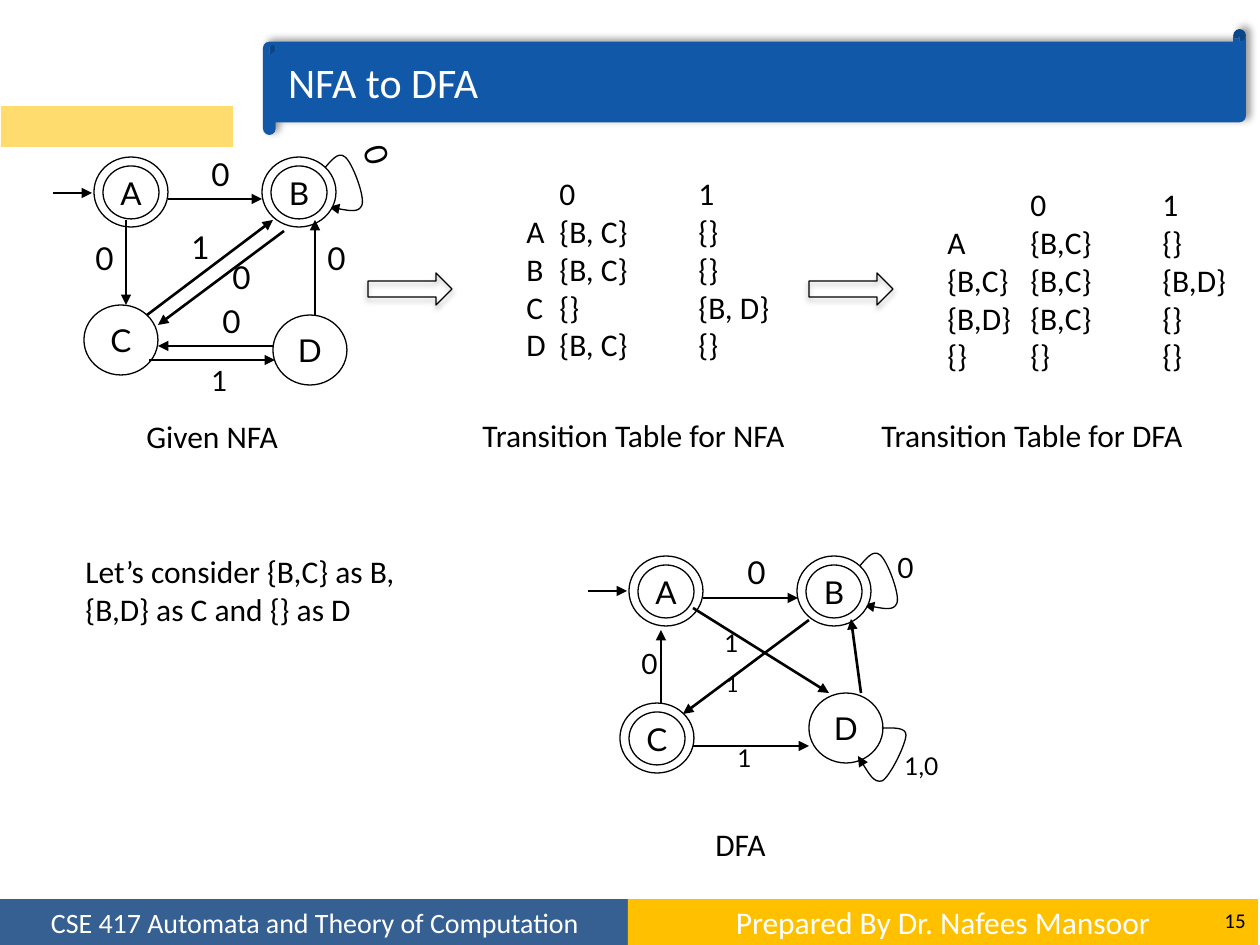
import pptx
import pptx.dml.color
import pptx.enum.shapes
import pptx.enum.text
import pptx.oxml
import pptx.oxml.ns
import pptx.util


class Theme:
    body_font = "Calibri"
    diagram_font = "Lato"
    black = "000000"
    white = "FFFFFF"
    title_blue = "1158A9"
    footer_blue = "376092"
    footer_gold = "FFC000"
    accent_yellow = "FFDC6D"
    title_size = 24
    body_size = 18
    footer_size = 16
    number_size = 12
    thin = pptx.util.Pt(0.75)
    thick = pptx.util.Pt(1.5)


PIXEL = 914400 / 126
PRESET = pptx.enum.shapes.MSO_SHAPE
ALIGN = pptx.enum.text.PP_ALIGN
ANCHOR = pptx.enum.text.MSO_ANCHOR
COLOR = pptx.dml.color.RGBColor.from_string
NAMESPACE = pptx.oxml.ns.nsdecls("a")
TAIL = f'<a:tailEnd {NAMESPACE} type="triangle"/>'

presentation = pptx.Presentation()
presentation.slide_width = pptx.util.Inches(10)
presentation.slide_height = pptx.util.Inches(7.5)
slide = presentation.slides.add_slide(presentation.slide_layouts[6])
shapes = slide.shapes


def add_shape(preset, box, fill=None, line=None):
    shape = shapes.add_shape(preset, *[round(value * PIXEL) for value in box])
    shape.shadow.inherit = False
    if fill:
        shape.fill.solid()
        shape.fill.fore_color.rgb = COLOR(fill)
    else:
        shape.fill.background()
    if line:
        shape.line.color.rgb = COLOR(line)
        shape.line.width = Theme.thin
    else:
        shape.line.fill.background()
    return shape


def write(target, text, size, font=Theme.body_font, color=Theme.black,
          align=ALIGN.LEFT, anchor=ANCHOR.TOP, wrap=False):
    if isinstance(target, tuple):
        target = shapes.add_textbox(*[round(value * PIXEL) for value in target])
    frame = target.text_frame
    frame.text = text
    frame.word_wrap = wrap
    frame.vertical_anchor = anchor
    for paragraph in frame.paragraphs:
        paragraph.alignment = align
        for run in paragraph.runs:
            run.font.size = pptx.util.Pt(size)
            run.font.name = font
            run.font.color.rgb = COLOR(color)
    return target


footers = [
    (0, Theme.footer_blue, "CSE 417 Automata and Theory of Computation", Theme.footer_size),
    (628, Theme.footer_gold, "Prepared By Dr. Nafees Mansoor", Theme.body_size),
]
for left, fill, text, size in footers:
    footer = add_shape(PRESET.RECTANGLE, (left, 899, 630, 46), fill)
    write(footer, text, size, color=Theme.white, align=ALIGN.CENTER,
          anchor=ANCHOR.MIDDLE, wrap=True)
write((1176, 895, 82, 50), "15", Theme.number_size, align=ALIGN.RIGHT,
      anchor=ANCHOR.MIDDLE, wrap=True)
add_shape(PRESET.RECTANGLE, (1, 106, 232, 41), Theme.accent_yellow)

title = add_shape(PRESET.HORIZONTAL_SCROLL, (263, 29, 983, 106), Theme.title_blue)
title.adjustments[0] = 0.12
write(title, "NFA to DFA", Theme.title_size, color=Theme.white,
      anchor=ANCHOR.MIDDLE, wrap=True)

step_arrows = [
    add_shape(PRESET.RIGHT_ARROW, (left, 273, 84, 32), line=Theme.black)
    for left in (368, 809)
]
shadows = [(title, 4, 3, 315, 40)] + [(arrow, 3.1, 1.8, 90, 35) for arrow in step_arrows]
for shape, blur, distance, angle, opacity in shadows:
    effects = shape._element.spPr.find(pptx.oxml.ns.qn("a:effectLst"))
    effects.append(pptx.oxml.parse_xml(
        f'<a:outerShdw {NAMESPACE} blurRad="{pptx.util.Pt(blur)}" '
        f'dist="{pptx.util.Pt(distance)}" dir="{angle * 60000}" rotWithShape="0">'
        f'<a:srgbClr val="{Theme.black}"><a:alpha val="{opacity * 1000}"/></a:srgbClr>'
        '</a:outerShdw>'))

single_states = [("C", 84, 305), ("D", 273, 315), ("D", 809, 693)]
for name, left, top in single_states:
    state = add_shape(PRESET.OVAL, (left, top, 74, 70), Theme.white, Theme.black)
    write(state, name, Theme.body_size, Theme.diagram_font,
          align=ALIGN.CENTER, anchor=ANCHOR.MIDDLE)

b_loop = [(0, 0), (8, -9), (15, -19), (22, -13), (29, -8),
          (42, 26), (39, 35), (36, 43), (21, 40), (6, 37)]
d_loop = [(0, 0), (11, 0), (24, -1), (24, 7), (24, 16),
          (8, 49), (0, 53), (-8, 55), (-16, 41), (-24, 28)]
for left, top, points in [(323, 170, b_loop), (858, 568, b_loop), (882, 728, d_loop)]:
    builder = shapes.build_freeform(left, top, scale=PIXEL)
    builder.add_line_segments([(left + x, top + y) for x, y in points[1:]], close=False)
    loop = builder.convert_to_shape()
    loop.shadow.inherit = False
    loop.fill.background()
    loop.line.color.rgb = COLOR(Theme.black)
    loop.line.width = Theme.thin
    loop.line._get_or_add_ln().append(pptx.oxml.parse_xml(TAIL))
    segments = list(loop._element.iter(pptx.oxml.ns.qn("a:lnTo")))
    outline = segments[0].getparent()
    for start in range(0, len(segments), 3):
        curve = pptx.oxml.parse_xml(f"<a:cubicBezTo {NAMESPACE}/>")
        for segment in segments[start:start + 3]:
            curve.append(segment[0])
            outline.remove(segment)
        outline.append(curve)

double_states = [("A", 94, 157), ("B", 262, 157),
                 ("A", 629, 556), ("B", 797, 556), ("C", 620, 703)]
for name, left, top in double_states:
    add_shape(PRESET.OVAL, (left, top, 74, 70), Theme.white, Theme.black)
    state = add_shape(PRESET.OVAL, (left + 9, top + 9, 56, 53), Theme.white, Theme.black)
    write(state, name, Theme.body_size, Theme.diagram_font,
          align=ALIGN.CENTER, anchor=ANCHOR.MIDDLE)

transitions = [
    (53, 193, 92, 193), (168, 199, 262, 199), (147, 315, 273, 220),
    (284, 231, 158, 325), (315, 315, 315, 220), (273, 346, 158, 346),
    (149, 360, 275, 360), (126, 220, 126, 305),
    (588, 591, 627, 591), (703, 598, 798, 598), (693, 608, 829, 693),
    (809, 620, 683, 714), (861, 693, 851, 619), (693, 746, 809, 746),
    (661, 703, 661, 630),
]
for points in transitions:
    connector = shapes.add_connector(pptx.enum.shapes.MSO_CONNECTOR.STRAIGHT,
                                     *[round(value * PIXEL) for value in points])
    connector.line.color.rgb = COLOR(Theme.black)
    connector.line.width = Theme.thick
    connector.line._get_or_add_ln().append(pptx.oxml.parse_xml(TAIL))
    connector._element.spPr.append(pptx.oxml.parse_xml(f"<a:effectLst {NAMESPACE}/>"))

label_boxes = {18: (43, 50), 16: (40, 47), 14: (39, 43), 12: (37, 38)}
labels = [
    ("0", 18, 199, 149), ("0", 18, 83, 233), ("1", 18, 179, 222), ("0", 18, 220, 252),
    ("0", 18, 315, 233), ("0", 18, 210, 296), ("1", 16, 199, 357),
    ("0", 18, 735, 547), ("0", 16, 629, 640), ("1", 14, 712, 622), ("1", 12, 714, 665),
    ("0", 16, 885, 544), ("1", 14, 725, 737),
]
for text, size, left, top in labels:
    write((left, top, *label_boxes[size]), text, size, Theme.diagram_font)
write((892, 745, 84, 43), "1,0", 14, Theme.diagram_font, wrap=True)
loop_label = write((343, 147, 79, 50), "0", 18, Theme.diagram_font, wrap=True)
loop_label.rotation = 73.5

captions = [
    ("Given NFA", 134, 411, 160), ("Transition Table for NFA", 470, 410, 338),
    ("Transition Table for DFA", 869, 410, 338), ("DFA", 703, 819, 78),
]
for text, left, top, width in captions:
    write((left, top, width, 50), text, Theme.body_size)
write((73, 546, 336, 89), "Let’s consider {B,C} as B, {B,D} as C and {} as D",
      Theme.body_size, wrap=True)

transition_tables = [
    ((514, 168, 271, 204), (33, 172), [
        ("", "0", "1"), ("A", "{B, C}", "{}"), ("B", "{B, C}", "{}"),
        ("C", "{}", "{B, D}"), ("D", "{B, C}", "{}")]),
    ((935, 179, 319, 204), (83, 215), [
        ("", "0", "1"), ("A", "{B,C}", "{}"), ("{B,C}", "{B,C}", "{B,D}"),
        ("{B,D}", "{B,C}", "{}"), ("{}", "{}", "{}")]),
]
for box, stops, rows in transition_tables:
    table_text = write(box, "\n".join("\t".join(row) for row in rows),
                       Theme.body_size, wrap=True)
    tabs = "".join(f'<a:tab pos="{round(stop * PIXEL)}" algn="l"/>' for stop in stops)
    for paragraph in table_text.text_frame.paragraphs:
        paragraph._p.get_or_add_pPr().append(
            pptx.oxml.parse_xml(f"<a:tabLst {NAMESPACE}>{tabs}</a:tabLst>"))

presentation.save("out.pptx")
